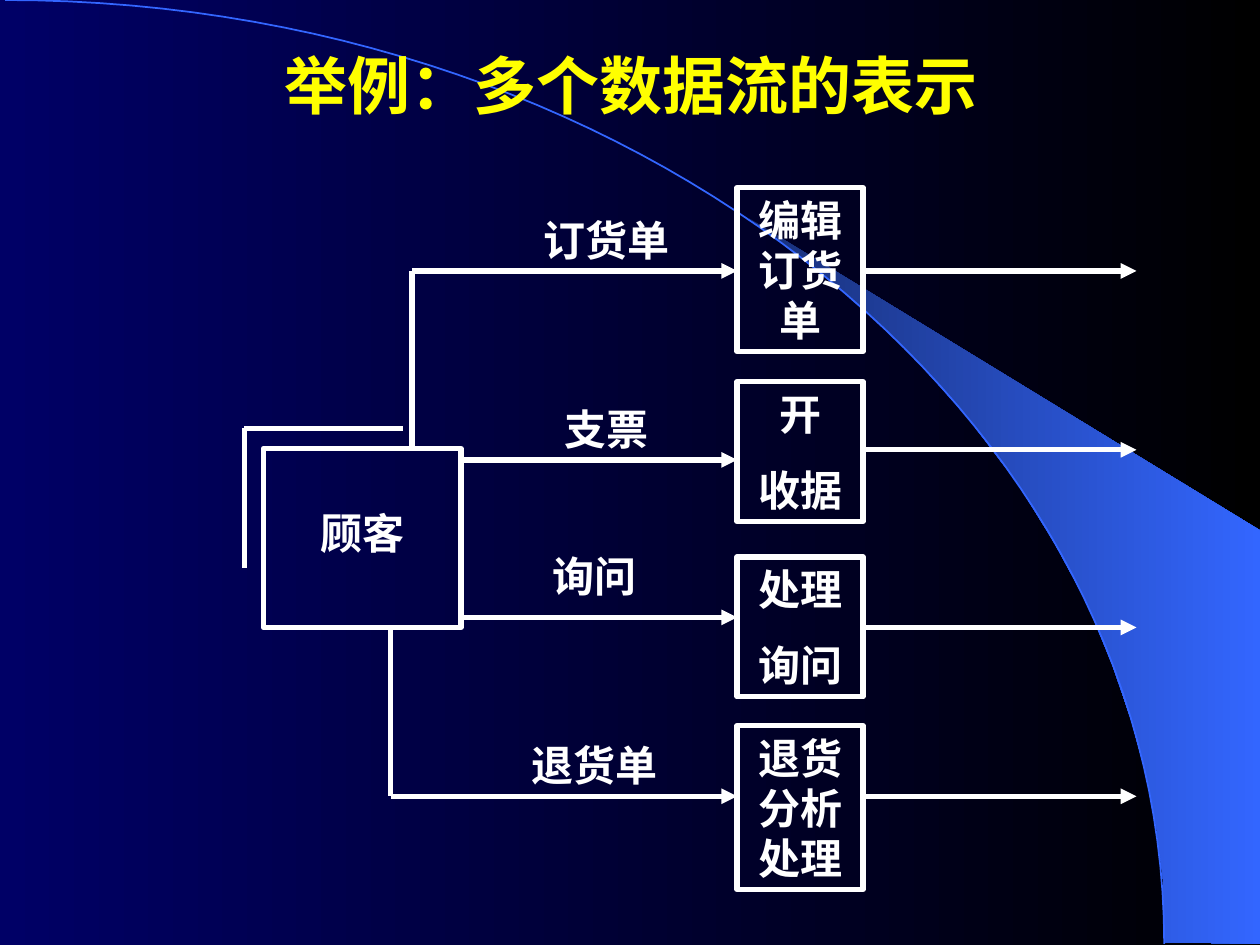
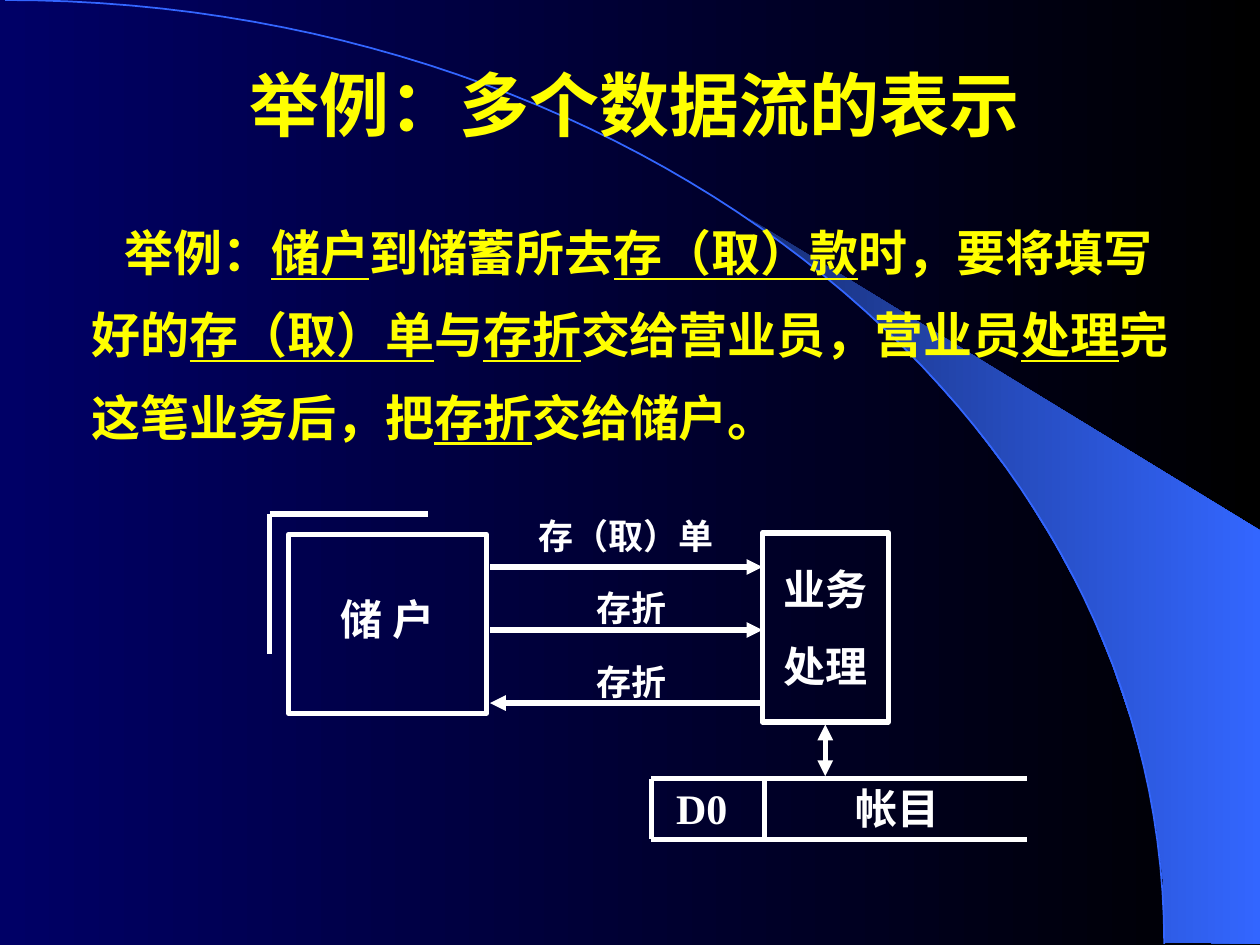
from dataclasses import dataclass

from lxml import etree
from pptx import Presentation
from pptx.dml.color import RGBColor
from pptx.enum.shapes import MSO_CONNECTOR, MSO_SHAPE
from pptx.enum.text import MSO_ANCHOR, PP_ALIGN
from pptx.oxml.ns import qn
from pptx.util import Inches, Pt

STRAIGHT = MSO_CONNECTOR.STRAIGHT
RECTANGLE = MSO_SHAPE.RECTANGLE
MIDDLE = MSO_ANCHOR.MIDDLE
CENTER, LEFT = PP_ALIGN.CENTER, PP_ALIGN.LEFT


@dataclass(frozen=True)
class Theme:
    navy: str = "000066"
    black: str = "000000"
    ray_dark: str = "182F76"
    ray_bright: str = "3366FF"
    white: str = "FFFFFF"
    yellow: str = "FFFF00"
    serif: str = "Times New Roman"
    sans: str = "Noto Sans CJK SC"
    body_size: int = 28
    node_size: int = 24
    label_size: int = 20
    stroke: int = 3


THEME = Theme()
TITLE = "举例：多个数据流的表示"

RAY_OUTLINE = [
    (9.25, 7.48), (10, 7.49), (10, 4.21), (5.94, 1.73), (6.29, 1.99),
    (6.58, 2.22), (6.9, 2.5), (7.22, 2.8), (7.67, 3.3), (8.08, 3.84),
    (8.37, 4.31), (8.63, 4.79), (8.83, 5.28), (8.98, 5.72), (9.08, 6.09),
    (9.18, 6.56), (9.23, 6.96),
]
ARC_CONTROLS = [(0.04, 0), (5.12, 0), (9.24, 3.35), (9.24, 7.49)]
ARC_STEPS = 60

# Flow, label position, line start and height; process lines, top, height, output height
ORDER_FLOWS = [
    ("订货单", (2.09, 0.16), (1.34, 0.66), ["编辑订货单"], 0, 1.3, 0.66),
    ("支票", (2.09, 1.66), (1.75, 2.16), ["开", "收据"], 1.54, 1.11, 2.08),
    ("询问", (2, 2.83), (1.75, 3.41), ["处理", "询问"], 2.93, 1.11, 3.49),
    ("退货单", (2, 4.33), (1.17, 4.83), ["退货分析处理"], 4.27, 1.3, 4.83),
]
# Flow, label position, line height, whether it returns to the depositor
DEPOSIT_FLOWS = [
    ("存（取）单", (1.83, 0), 0.47, False),
    ("存折", (1.87, 0.57), 0.97, False),
    ("存折", (1.87, 1.16), 1.55, True),
]
# Text and whether it is underlined
DEPOSIT_STORY = [
    ("举例：", False), ("储户", True), ("到储蓄所去", False),
    ("存（取）款", True), ("时，要将填写好的", False), ("存（取）单", True),
    ("与", False), ("存折", True), ("交给营业员，营业员", False),
    ("处理", True), ("完这笔业务后，把", False), ("存折", True),
    ("交给储户。", False),
]


def rgb(value):
    return RGBColor.from_string(value)


def fill_gradient(fill, start, end):
    fill.gradient()
    fill.gradient_angle = 0
    for stop, color in zip(fill.gradient_stops, (start, end)):
        stop.color.rgb = rgb(color)


def style_paragraph(paragraph, size, color, font, align):
    paragraph.alignment = align
    paragraph.font.size = Pt(size)
    paragraph.font.bold = True
    paragraph.font.color.rgb = rgb(color)
    paragraph.font.name = font
    defaults = paragraph._p.pPr.find(qn("a:defRPr"))
    etree.SubElement(defaults, qn("a:ea"), typeface=THEME.sans)


def write_lines(frame, lines, size=THEME.node_size, color=THEME.white, font=THEME.sans):
    frame.word_wrap = True
    frame.vertical_anchor = MIDDLE
    for index, line in enumerate(lines):
        paragraph = frame.paragraphs[0] if index == 0 else frame.add_paragraph()
        paragraph.text = line
        if index:
            paragraph.space_before = Pt(15)
        style_paragraph(paragraph, size, color, font, CENTER)


@dataclass
class Diagram:
    """A region of a slide; every position is measured from its top left corner."""
    slide: object
    left: float
    top: float

    def place(self, x, y):
        return Inches(self.left + x), Inches(self.top + y)

    def line(self, start, end, head=False, tail=False):
        connector = self.slide.shapes.add_connector(
            STRAIGHT, *self.place(*start), *self.place(*end))
        connector.line.color.rgb = rgb(THEME.white)
        connector.line.width = Pt(THEME.stroke)
        properties = connector._element.spPr
        outline = properties.find(qn("a:ln"))
        for wanted, tag in ((head, "a:headEnd"), (tail, "a:tailEnd")):
            if wanted:
                etree.SubElement(outline, qn(tag), type="triangle")
        etree.SubElement(properties, qn("a:effectLst"))

    def label(self, text, x, y, width, height=0.5, **style):
        box = self.slide.shapes.add_textbox(
            *self.place(x, y), Inches(width), Inches(height))
        write_lines(box.text_frame, [text], **style)

    def node(self, lines, x, y, width, height, **style):
        node = self.slide.shapes.add_shape(
            RECTANGLE, *self.place(x, y), Inches(width), Inches(height))
        node.shadow.inherit = False
        node.fill.background()
        node.line.color.rgb = rgb(THEME.white)
        node.line.width = Pt(THEME.stroke)
        write_lines(node.text_frame, lines, **style)
        return node

    def entity(self, name, x, y):
        """External party: a box with a second corner behind its top left."""
        node = self.node([name], x, y, 1.57, 1.42, font=THEME.serif)
        node.text_frame.margin_bottom = Inches(0.13)
        corner = (x - 0.15, y - 0.16)
        self.line(corner, (corner[0] + 1.26, corner[1]))
        self.line(corner, (corner[0], corner[1] + 1.11))

    def data_store(self, code, name, x, y):
        width, height, divider = 2.98, 0.48, 0.9
        for edge in (y, y + height):
            self.line((x, edge), (x + width, edge))
        for edge in (x, x + divider):
            self.line((edge, y), (edge, y + height))
        self.label(code, x - 0.12, y - 0.02, 1.04, font=THEME.serif)
        self.label(name, x + 1.45, y - 0.02, 1, font=THEME.serif)


def trace(slide, points, close):
    corners = [(Inches(x), Inches(y)) for x, y in points]
    builder = slide.shapes.build_freeform(*corners[0])
    builder.add_line_segments(corners[1:], close=close)
    outline = builder.convert_to_shape()
    outline.shadow.inherit = False
    return outline


def arc_point(t):
    weights = ((1 - t) ** 3, 3 * t * (1 - t) ** 2, 3 * t * t * (1 - t), t ** 3)
    return tuple(sum(w * point[axis] for w, point in zip(weights, ARC_CONTROLS))
                 for axis in (0, 1))


def add_backdrop(slide):
    fill_gradient(slide.background.fill, THEME.navy, THEME.black)
    ray = trace(slide, RAY_OUTLINE, close=True)
    fill_gradient(ray.fill, THEME.ray_dark, THEME.ray_bright)
    ray.line.fill.background()
    arc = trace(slide, [arc_point(i / ARC_STEPS) for i in range(ARC_STEPS + 1)], close=False)
    arc.fill.background()
    arc.line.color.rgb = rgb(THEME.ray_bright)
    arc.line.width = Pt(1)


def add_slide(prs, title_box, title_size):
    slide = prs.slides.add_slide(prs.slide_layouts[6])
    add_backdrop(slide)
    left, top, width, height = title_box
    Diagram(slide, left, top).label(
        TITLE, 0, 0, width, height,
        size=title_size, color=THEME.yellow, font=THEME.serif)
    return slide


def add_order_diagram(slide, left, top):
    diagram = Diagram(slide, left, top)
    process_x, process_width, output_end = 3.92, 1, 7.09
    diagram.entity("顾客", 0.16, 2.07)
    diagram.line((1.34, 0.66), (1.34, 2.08))
    diagram.line((1.17, 3.49), (1.17, 4.83))
    for flow, label_at, start, process, y, height, output_y in ORDER_FLOWS:
        diagram.label(flow, *label_at, 1.58)
        diagram.line(start, (process_x, start[1]), tail=True)
        diagram.node(process, process_x, y, process_width, height)
        diagram.line((process_x + process_width, output_y), (output_end, output_y), tail=True)


def add_deposit_story(slide, left, top, width, height):
    box = slide.shapes.add_textbox(Inches(left), Inches(top), Inches(width), Inches(height))
    frame = box.text_frame
    frame.word_wrap = True
    frame.vertical_anchor = MIDDLE
    story = frame.paragraphs[0]
    story.line_spacing = 1.4
    style_paragraph(story, THEME.body_size, THEME.yellow, THEME.sans, LEFT)
    story._p.pPr.set("indent", str(Inches(0.26)))
    for text, underlined in DEPOSIT_STORY:
        run = story.add_run()
        run.text = text
        if underlined:
            run.font.underline = True


def add_deposit_diagram(slide, left, top):
    diagram = Diagram(slide, left, top)
    flow_start, process_x = 1.75, 3.91
    diagram.entity("储 户", 0.15, 0.21)
    diagram.node(["业务", "处理"], process_x, 0.2, 1, 1.5)
    for flow, label_at, y, returns in DEPOSIT_FLOWS:
        diagram.label(flow, *label_at, 2, 0.44, size=THEME.label_size)
        diagram.line((flow_start, y), (process_x, y), head=returns, tail=not returns)
    diagram.data_store("D0", "帐目", 3.03, 2.15)
    diagram.line((4.41, 1.72), (4.41, 2.13), head=True, tail=True)


def main():
    prs = Presentation()
    prs.slide_width, prs.slide_height = Inches(10), Inches(7.5)

    orders = add_slide(prs, (0.2, 0.32, 9.61, 0.7), 36)
    add_order_diagram(orders, 1.93, 1.49)

    deposits = add_slide(prs, (0.43, 0.44, 9.21, 0.77), 40)
    add_deposit_story(deposits, 0.63, 1.53, 8.78, 2.06)
    add_deposit_diagram(deposits, 2.14, 4.03)

    prs.save("out.pptx")


if __name__ == "__main__":
    main()
